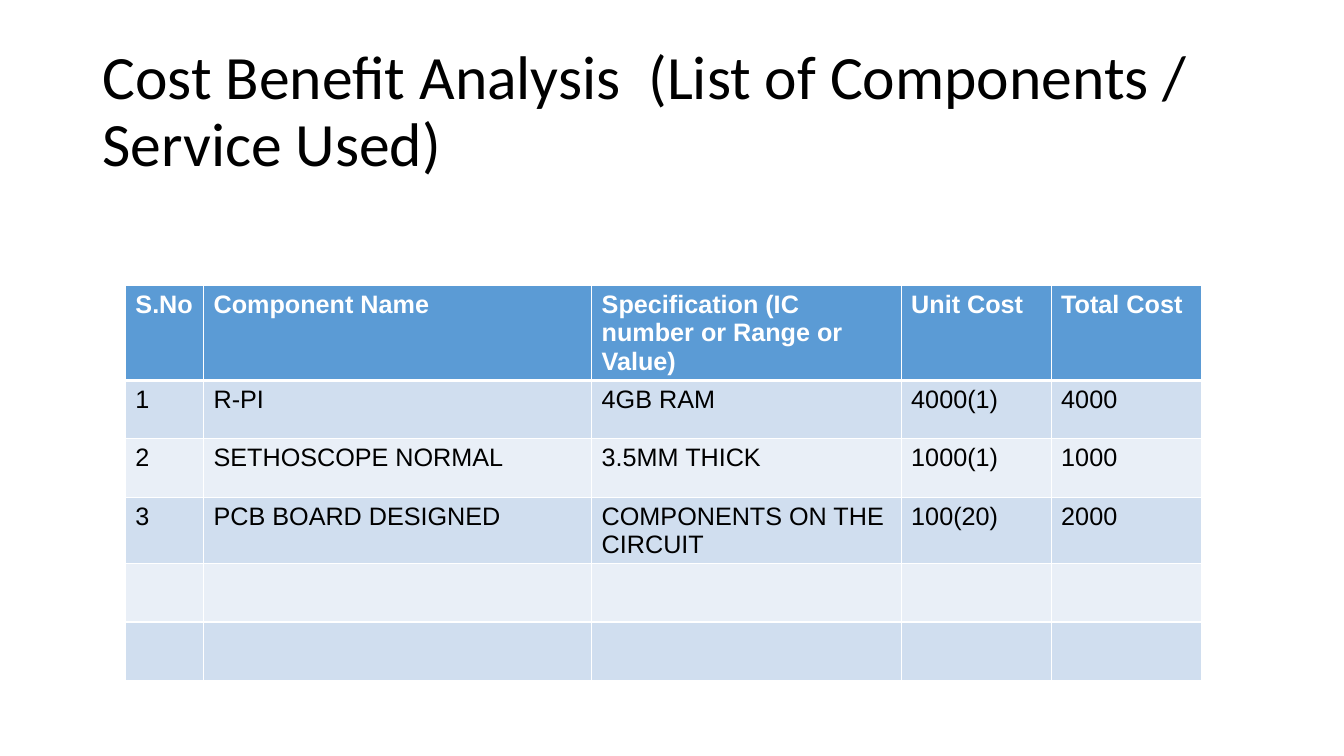
from lxml.etree import SubElement
from pptx import Presentation
from pptx.dml.color import RGBColor
from pptx.enum.text import MSO_ANCHOR, MSO_AUTO_SIZE, PP_ALIGN
from pptx.oxml.ns import qn
from pptx.util import Cm, Pt

COLORS = {
    "text": "000000",
    "white": "FFFFFF",
    "header": "5B9BD5",
    "odd_row": "D0DEEF",
    "even_row": "E9EFF7",
}


def write_text(frame, text, size=18, font="Arial", color="text", bold=False, spacing=None):
    para = frame.paragraphs[0]
    para.alignment = PP_ALIGN.LEFT
    para.line_spacing = spacing
    span = para.add_run()
    span.text = text
    span.font.size = Pt(size)
    span.font.name = font
    span.font.bold = bold
    span.font.color.rgb = RGBColor.from_string(COLORS[color])


def add_border(cell, side, width):
    line = SubElement(cell._tc.get_or_add_tcPr(), qn(f"a:ln{side}"), w=str(Pt(width)))
    fill = SubElement(line, qn("a:solidFill"))
    SubElement(fill, qn("a:srgbClr"), val=COLORS["white"])


deck = Presentation()
deck.slide_width = Cm(33.87)
deck.slide_height = Cm(19.05)
page = deck.slides.add_slide(deck.slide_layouts[5])

title = page.shapes.title
title.left, title.top, title.width, title.height = Cm(2.33), Cm(1.01), Cm(29.21), Cm(3.68)
title.text_frame.auto_size = MSO_AUTO_SIZE.NONE
title.text_frame.word_wrap = True
title.text_frame.vertical_anchor = MSO_ANCHOR.MIDDLE
write_text(
    title.text_frame,
    "Cost Benefit Analysis  (List of Components / Service Used)",
    size=44, font="Calibri", spacing=0.9,
)

components = [
    ["S.No", "Component Name", "Specification (IC number or Range or Value)", "Unit Cost", "Total Cost"],
    ["1", "R-PI", "4GB RAM", "4000(1)", "4000"],
    ["2", "SETHOSCOPE NORMAL", "3.5MM THICK", "1000(1)", "1000"],
    ["3", "PCB BOARD DESIGNED", "COMPONENTS ON THE CIRCUIT", "100(20)", "2000"],
    [""] * 5,
    [""] * 5,
]
column_widths = [1.97, 9.78, 7.8, 3.78, 3.78]
header_height, row_height = 1.22, 1.47

table = page.shapes.add_table(
    len(components), len(column_widths), Cm(3.16), Cm(7.2),
    Cm(sum(column_widths)), Cm(header_height + row_height * (len(components) - 1)),
).table
for column, width in zip(table.columns, column_widths):
    column.width = Cm(width)

for row_index, values in enumerate(components):
    is_header = row_index == 0
    table.rows[row_index].height = Cm(header_height if is_header else row_height)
    fill_name = "header" if is_header else "odd_row" if row_index % 2 else "even_row"
    border_widths = {"L": 1, "R": 1, "T": 3 if row_index == 1 else 1, "B": 3 if is_header else 1}
    for column_index, value in enumerate(values):
        cell = table.cell(row_index, column_index)
        for side, width in border_widths.items():
            add_border(cell, side, width)
        cell.fill.solid()
        cell.fill.fore_color.rgb = RGBColor.from_string(COLORS[fill_name])
        if value:
            write_text(cell.text_frame, value, color="white" if is_header else "text", bold=is_header)

deck.save("out.pptx")
